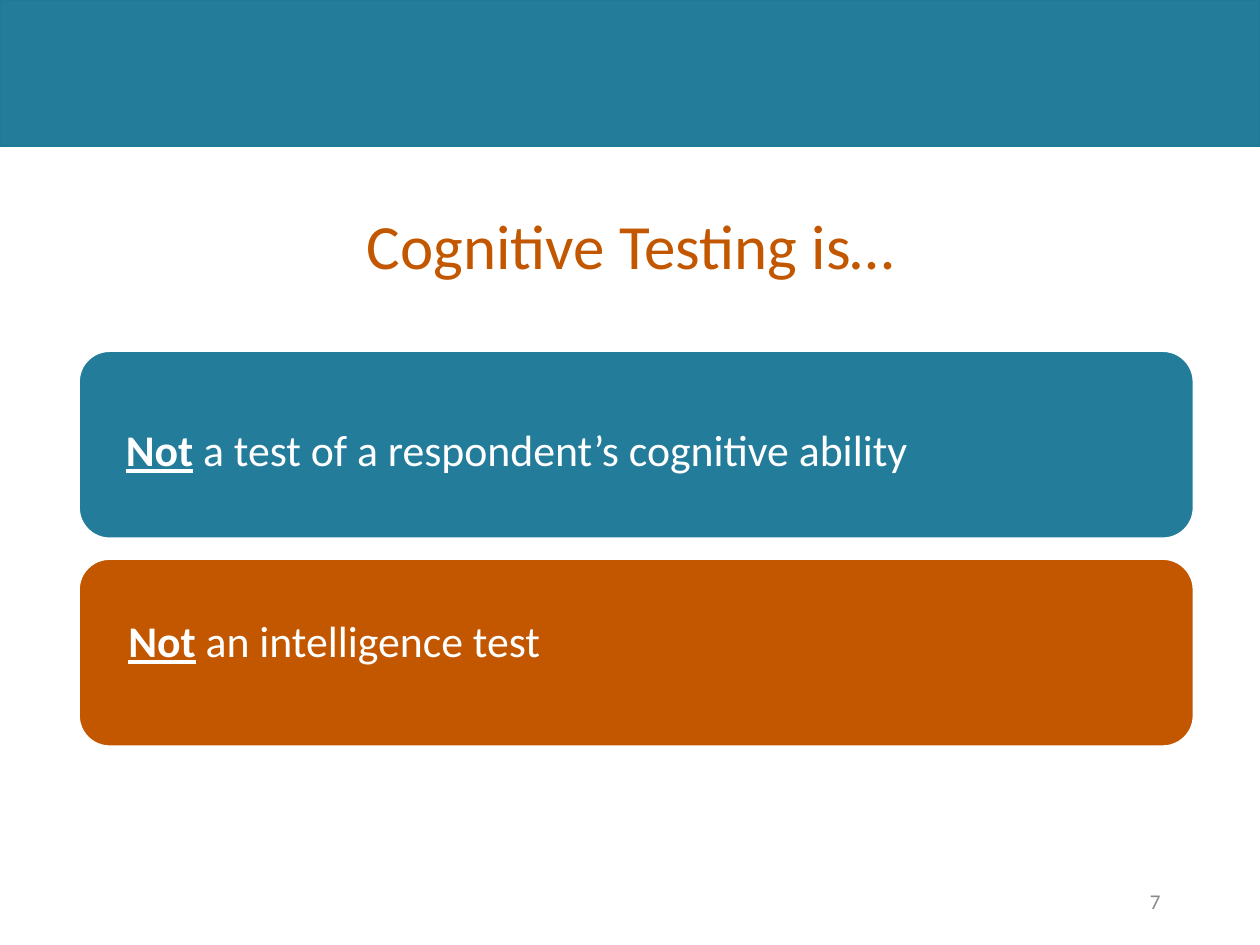
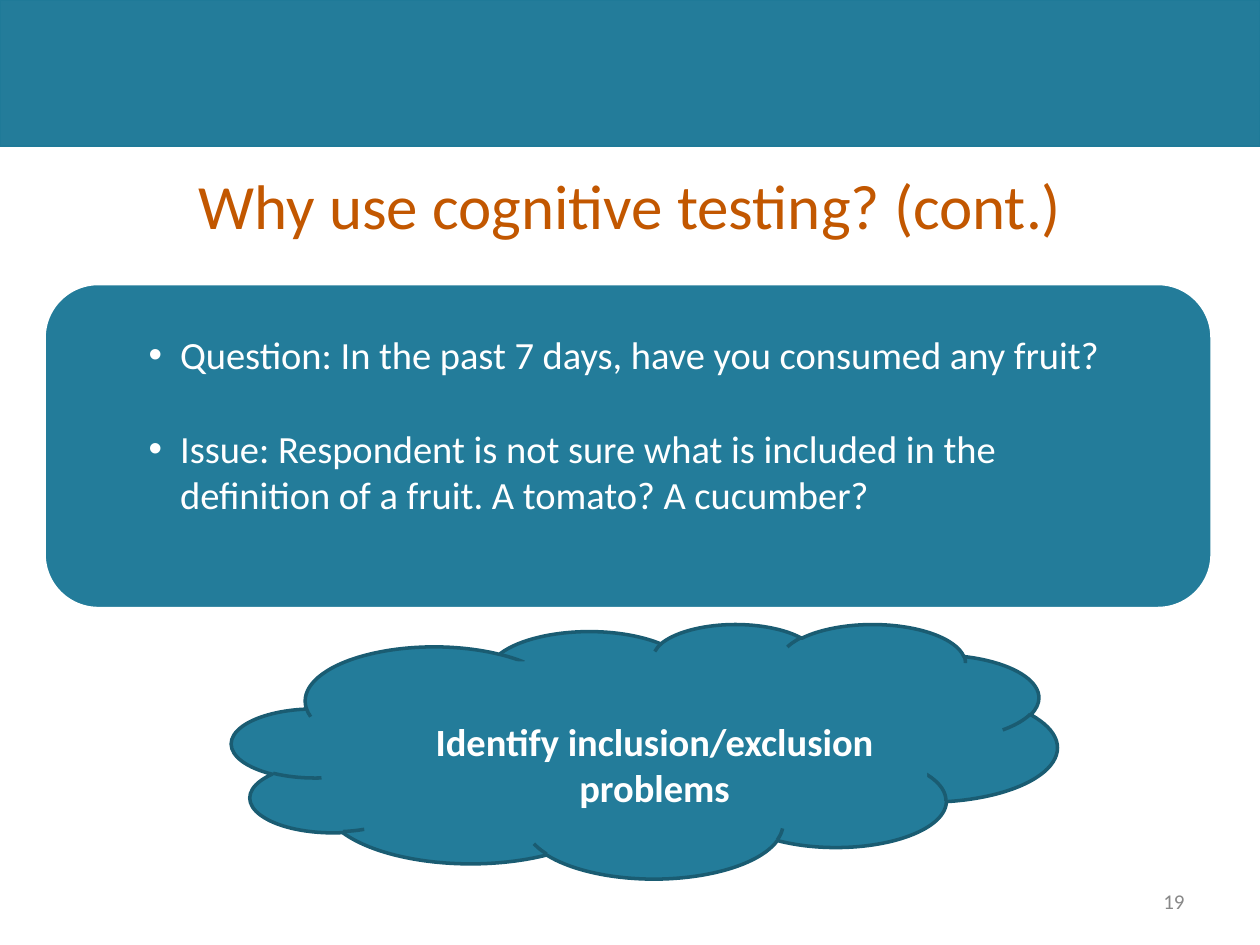
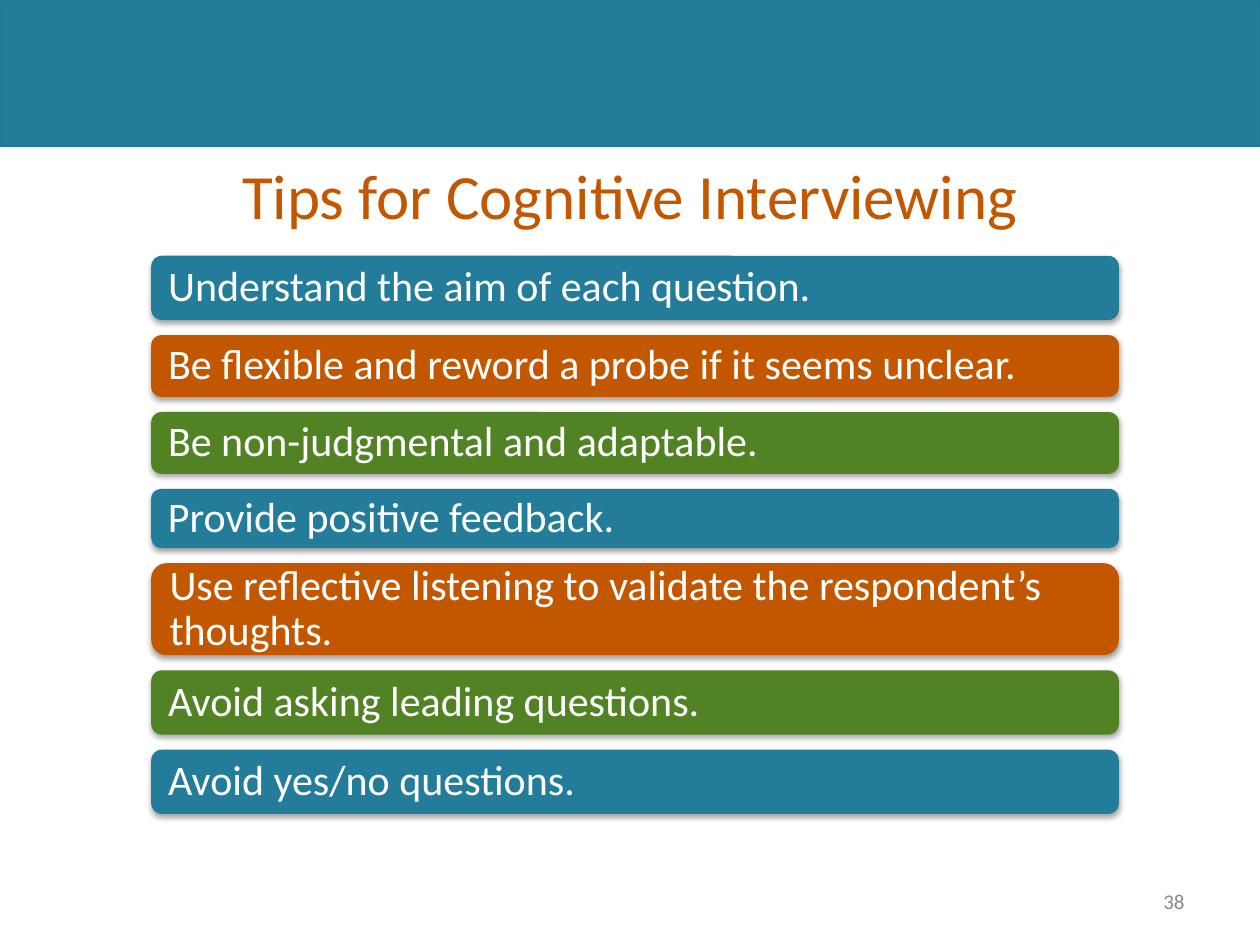
from lxml import etree
from pptx import Presentation
from pptx import util as u
from pptx.dml.color import RGBColor
from pptx.enum import shapes, text
from pptx.oxml.ns import qn

# Shared look: the slide is a grid of 10 columns by 7.5 rows
COLS, ROWS = 10, 7.5
CELL = u.Inches(1)
FONT = "Calibri"
TEAL, ORANGE, GREEN = "237C9A", "C25700", "518325"
WHITE, GREY, BAND_EDGE, CLOUD_EDGE = "FFFFFF", "888888", "1F7A98", "1A5C72"
SHAPE = shapes.MSO_SHAPE
TOP, MIDDLE = text.MSO_ANCHOR.TOP, text.MSO_ANCHOR.MIDDLE
LEFT, CENTER, RIGHT = text.PP_ALIGN.LEFT, text.PP_ALIGN.CENTER, text.PP_ALIGN.RIGHT


def rgb(color):
    return RGBColor.from_string(color)


def grid(*cells):
    return [round(c * CELL) for c in cells]


def add_box(s, kind, at, fill, edge=None, width=2):
    """Filled preset shape with an optional outline."""
    sp = s.shapes.add_shape(kind, *grid(*at))
    sp.shadow.inherit = False
    sp.fill.solid()
    sp.fill.fore_color.rgb = rgb(fill)
    if edge:
        sp.line.color.rgb = rgb(edge)
        sp.line.width = u.Pt(width)
    else:
        sp.line.fill.background()
    return sp


def write(sp, paragraphs, size, color=WHITE, align=LEFT, anchor=MIDDLE,
          margins=(0.1, 0.05, 0.1, 0.05), spacing=None, bold=None):
    """Fill a shape with paragraphs of one style."""
    tf = sp.text_frame
    tf.word_wrap = True
    tf.vertical_anchor = anchor
    tf.margin_left, tf.margin_top, tf.margin_right, tf.margin_bottom = grid(*margins)
    tf.text = "\n".join(paragraphs)
    for p in tf.paragraphs:
        p.alignment = align
        p.line_spacing = spacing
        for r in p.runs:
            r.font.name, r.font.size, r.font.bold = FONT, u.Pt(size), bold
            r.font.color.rgb = rgb(color)
    return tf


def add_text(s, at, line, size, **style):
    return write(s.shapes.add_textbox(*grid(*at)), [line], size, **style)


def add_bullet(p, indent, hanging):
    pPr = p._p.get_or_add_pPr()
    pPr.set("marL", str(u.Inches(indent)))
    pPr.set("indent", str(-u.Inches(hanging)))
    etree.SubElement(pPr, qn("a:buFont"), typeface="Arial")
    etree.SubElement(pPr, qn("a:buChar"), char="•")


def add_shadow(sp):
    """Soft shadow straight below the shape."""
    effects = sp._element.spPr.find(qn("a:effectLst"))
    shadow = etree.SubElement(effects, qn("a:outerShdw"), blurRad=str(u.Pt(3.1)),
                              dist=str(u.Pt(1.6)), dir="5400000", rotWithShape="0")
    color = etree.SubElement(shadow, qn("a:srgbClr"), val="000000")
    etree.SubElement(color, qn("a:alpha"), val="36000")


def add_slide(prs, title, title_at, number, number_right=9.5):
    """Blank slide with band, title and page number."""
    s = prs.slides.add_slide(prs.slide_layouts[6])
    add_box(s, SHAPE.RECTANGLE, (0, 0, COLS, 1.16), TEAL, BAND_EDGE, 0.75)
    add_text(s, title_at, title, 36, color=ORANGE, align=CENTER)
    add_text(s, (number_right - 2.33, 6.95, 2.33, 0.4), str(number), 12,
             color=GREY, align=RIGHT)
    return s


def add_statement(s, top, fill, text_at, rest):
    """Rounded panel whose text opens with an emphasised 'Not'."""
    add_box(s, SHAPE.ROUNDED_RECTANGLE, (0.62, top, 8.86, 1.5), fill, WHITE)
    tf = add_text(s, (*text_at, 8.65, 1.36), "Not", 25, spacing=0.9, margins=(0.1,) * 4)
    p = tf.paragraphs[0]
    p.runs[0].font.bold = p.runs[0].font.underline = True
    r = p.add_run()
    r.text = rest
    r.font.name, r.font.size = FONT, u.Pt(25)
    r.font.color.rgb = rgb(WHITE)


def add_tips(s, tips, top, gap):
    """Stack of shadowed bars, colours taken in turn."""
    fills = (TEAL, ORANGE, GREEN)
    for i, (tip, height) in enumerate(tips):
        bar = add_box(s, SHAPE.ROUNDED_RECTANGLE, (1.2, top, 7.68, height), fills[i % 3])
        add_shadow(bar)
        write(bar, [tip], 24, spacing=0.9, margins=(0.11, 0, 0.11, 0))
        top += height + gap


def main():
    prs = Presentation()
    prs.slide_width, prs.slide_height = grid(COLS, ROWS)

    # What cognitive testing is not
    s = add_slide(prs, "Cognitive Testing is…", (0.73, 1.57, 8.55, 0.74), 7, 9.31)
    add_statement(s, 2.78, TEAL, (0.9, 2.91), " a test of a respondent’s cognitive ability")
    add_statement(s, 4.43, ORANGE, (0.92, 4.43), " an intelligence test")

    # Example question and the problem it reveals
    s = add_slide(prs, "Why use cognitive testing? (cont.)", (0.11, 1.29, 9.78, 0.67), 19)
    add_box(s, SHAPE.ROUNDED_RECTANGLE, (0.35, 2.25, 9.27, 2.58), TEAL, WHITE)
    example = add_box(s, SHAPE.RECTANGLE, (0.72, 2.55, 8.44, 2.07), TEAL)
    tf = write(example, [
        "Question: In the past 7 days, have you consumed any fruit?",
        "Issue: Respondent is not sure what is included in the definition of a fruit. "
        "A tomato? A cucumber?",
    ], 22, anchor=TOP, margins=(0.08,) * 4)
    for p in tf.paragraphs:
        add_bullet(p, 0.63, 0.25)
    tf.paragraphs[1].space_before = u.Pt(27)
    add_box(s, SHAPE.CLOUD, (1.84, 4.95, 6.55, 2.02), TEAL, CLOUD_EDGE)
    finding = add_box(s, SHAPE.RECTANGLE, (3.03, 5.25, 4.33, 0.96), TEAL)
    write(finding, ["Identify inclusion/exclusion problems"], 22, align=CENTER,
          anchor=TOP, margins=(0.08, 0.45, 0.08, 0), bold=True)

    # Interviewing tips
    s = add_slide(prs, "Tips for Cognitive Interviewing", (0.5, 1.18, 9, 0.73), 38)
    add_tips(s, [
        ("Understand the aim of each question.", 0.51),
        ("Be flexible and reword a probe if it seems unclear.", 0.49),
        ("Be non-judgmental and adaptable.", 0.49),
        ("Provide positive feedback.", 0.47),
        ("Use reflective listening to validate the respondent’s thoughts.", 0.73),
        ("Avoid asking leading questions.", 0.51),
        ("Avoid yes/no questions.", 0.51),
    ], top=2.03, gap=0.12)

    prs.save("out.pptx")


if __name__ == "__main__":
    main()
